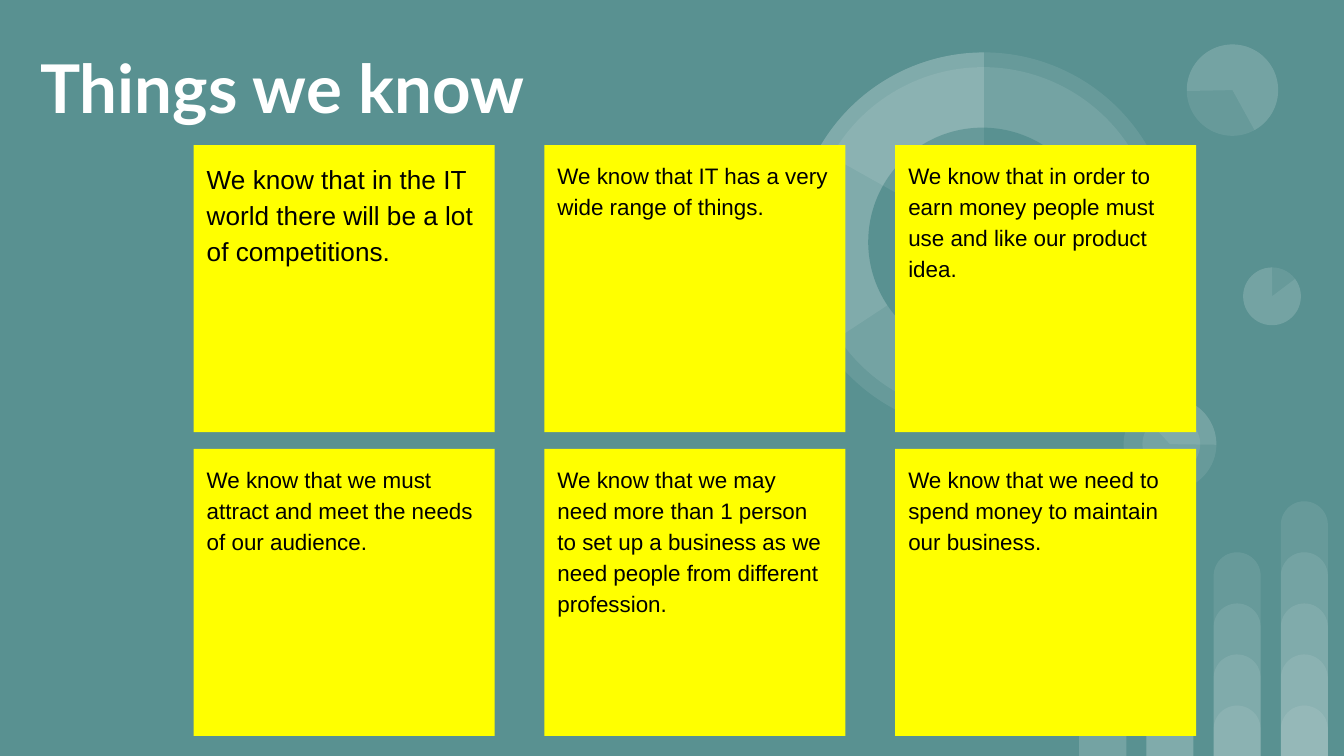
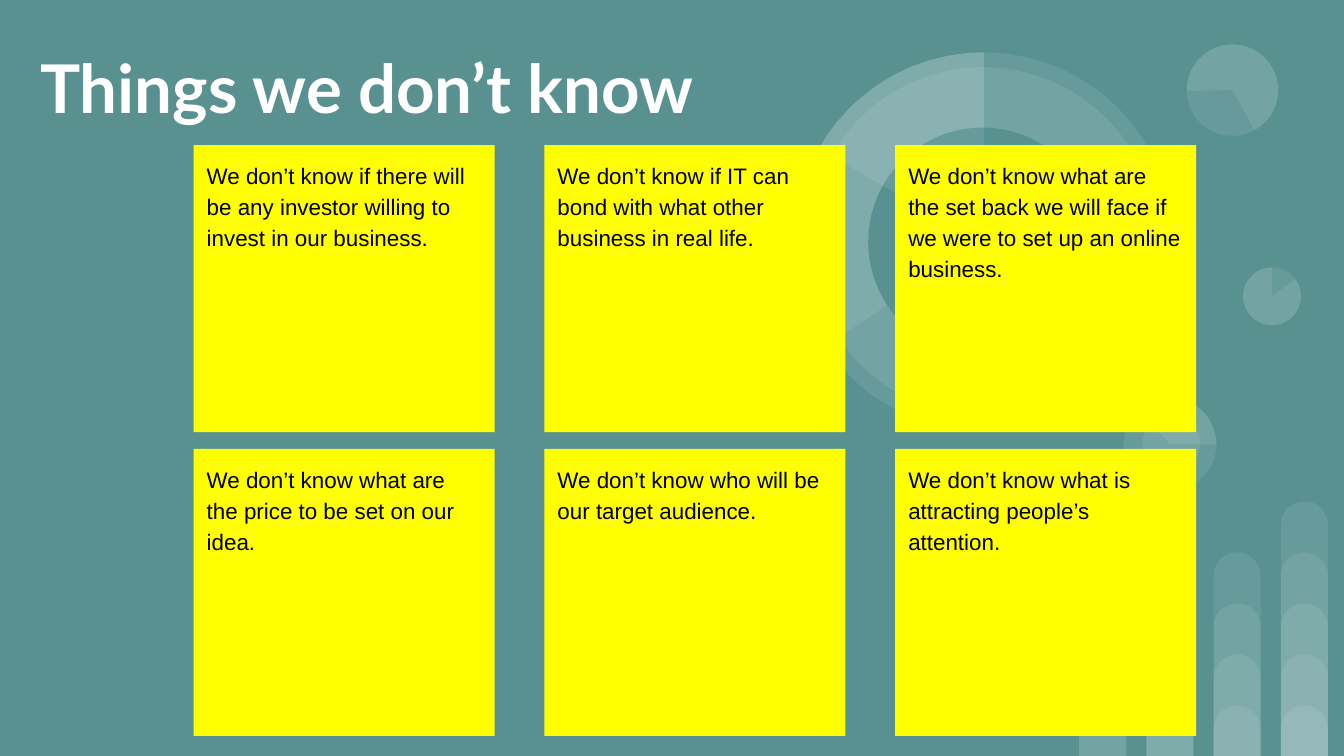
from pptx import Presentation
from pptx.dml.color import RGBColor
from pptx.enum.shapes import MSO_SHAPE
from pptx.enum.text import MSO_ANCHOR, PP_ALIGN
from pptx.oxml.ns import qn
from pptx.util import Inches, Pt
from lxml.etree import SubElement

TEAL = RGBColor(0x59, 0x91, 0x91)
WHITE = RGBColor(0xFF, 0xFF, 0xFF)
YELLOW = RGBColor(0xFF, 0xFF, 0x00)
BLACK = RGBColor(0x00, 0x00, 0x00)

WIDTH = Inches(10)
HEIGHT = WIDTH * 9 // 16
UNIT = WIDTH / 100
ROWS = HEIGHT / UNIT
VEIL = 9

KNOWN = [
    ("We know that in the IT world there will be a lot of competitions.", 14),
    ("We know that IT has a very wide range of things.", 12),
    ("We know that in order to earn money people must use and like our product idea.", 12),
    ("We know that we must attract and meet the needs of our audience.", 12),
    ("We know that we may need more than 1 person to set up a business as we "
     "need people from different profession.", 12),
    ("We know that we need to spend money to maintain our business.", 12),
]
UNKNOWN = [
    ("We don’t know if there will be any investor willing to invest in our business.", 12),
    ("We don’t know if IT can bond with what other business in real life.", 12),
    ("We don’t know what are the set back we will face if we were to set up an "
     "online business.", 12),
    ("We don’t know what are the price to be set on our idea.", 12),
    ("We don’t know who will be our target audience.", 12),
    ("We don’t know what is attracting people’s attention.", 12),
]


class Deck:
    def __init__(self):
        self.show = Presentation()
        self.show.slide_width = WIDTH
        self.show.slide_height = HEIGHT
        self.slide = None

    def page(self, title, notes):
        self.slide = self.show.slides.add_slide(self.show.slide_layouts[6])
        back = self.slide.background.fill
        back.solid()
        back.fore_color.rgb = TEAL
        self.bars()
        self.rings()
        self.title(title)
        for spot, (text, size) in enumerate(notes):
            row, col = divmod(spot, 3)
            self.note(col, row, text, size)

    def box(self, left, top, wide, high):
        return [round(n * UNIT) for n in (left, top, wide, high)]

    def shape(self, kind, area, color, alpha=None):
        item = self.slide.shapes.add_shape(kind, *self.box(*area))
        item.shadow.inherit = False
        item.line.fill.background()
        item.fill.solid()
        item.fill.fore_color.rgb = color
        if alpha:
            tint = item.element.spPr.find(".//" + qn("a:srgbClr"))
            SubElement(tint, qn("a:alpha")).set("val", str(alpha * 1000))
        return item

    def disc(self, left, top, size, turn=0, color=WHITE, alpha=VEIL):
        item = self.shape(MSO_SHAPE.OVAL, (left, top, size, size), color, alpha)
        item.rotation = turn

    def wedge(self, left, top, size, start, end=270, turn=0):
        item = self.shape(MSO_SHAPE.PIE, (left, top, size, size), WHITE, VEIL)
        item.adjustments[0] = start * 0.6
        item.adjustments[1] = end * 0.6
        item.rotation = turn

    def bars(self):
        for col in range(4):
            for step in range(col + 2):
                high = 3.75 + 3.8 * step
                area = (80.3 + 5 * col, ROWS - high, 3.5, high)
                bar = self.shape(MSO_SHAPE.ROUND_2_SAME_RECTANGLE, area, WHITE, VEIL)
                bar.adjustments[0] = 0.5
                bar.adjustments[1] = 0

    def rings(self):
        low = (92.5, 19.9, 4.3)
        self.disc(*low)
        self.wedge(*low, 322.95)

        side = (83.6, 29.6, 6.9)
        self.disc(*side, turn=90)
        self.wedge(*side, 137.41, 270.77, turn=90)
        self.disc(85, 30.9, 4.3, turn=90)

        high = (88.3, 3.3, 6.8)
        self.disc(*high, turn=215.9)
        self.wedge(*high, 322.95, 205.23, turn=215.9)

        main = (59.1, 3.9, 28.2)
        self.disc(*main)
        self.disc(60.2, 5, 25.9, turn=34.1)
        self.wedge(*main, 146.69)
        self.disc(64.6, 9.5, 17, turn=34.1, color=TEAL, alpha=None)
        self.wedge(*main, 209.24)

    def label(self, item, text, size, font, color, anchor, bold=False, space=1):
        frame = item.text_frame
        frame.word_wrap = True
        frame.vertical_anchor = anchor
        pad = round(UNIT)
        frame.margin_left = frame.margin_right = pad
        frame.margin_top = frame.margin_bottom = pad
        para = frame.paragraphs[0]
        para.alignment = PP_ALIGN.LEFT
        para.line_spacing = space
        run = para.add_run()
        run.text = text
        run.font.name = font
        run.font.size = Pt(size)
        run.font.bold = bold
        run.font.color.rgb = color

    def title(self, text):
        item = self.slide.shapes.add_textbox(*self.box(2, 1.4, 67.8, 10.1))
        self.label(item, text, 36, "Lato", WHITE, MSO_ANCHOR.MIDDLE, bold=True)

    def note(self, col, row, text, size):
        area = (14.4 + 26.1 * col, 10.8 + 22.6 * row, 22.4, 21.35)
        item = self.shape(MSO_SHAPE.RECTANGLE, area, YELLOW)
        self.label(item, text, size, "Arial", BLACK, MSO_ANCHOR.TOP, space=1.15)


def main():
    deck = Deck()
    deck.page("Things we know", KNOWN)
    deck.page("Things we don’t know", UNKNOWN)
    deck.show.save("out.pptx")


if __name__ == "__main__":
    main()
